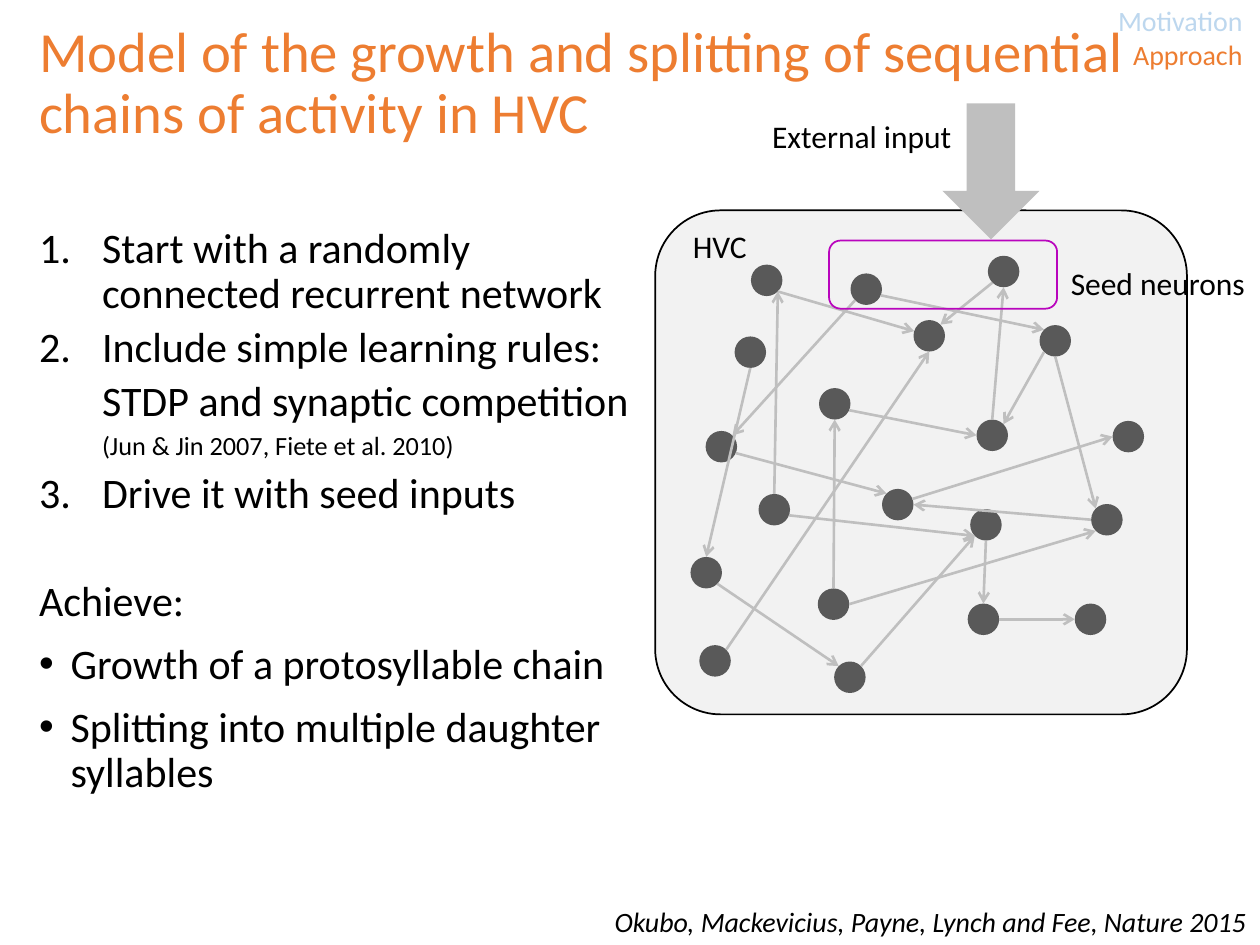
from math import cos, radians, sin

from lxml.etree import SubElement
from pptx import Presentation
from pptx.dml.color import RGBColor
from pptx.enum.shapes import MSO_CONNECTOR, MSO_SHAPE
from pptx.enum.text import MSO_ANCHOR, MSO_AUTO_SIZE, PP_ALIGN
from pptx.oxml.ns import qn
from pptx.util import Inches, Pt

THEME = {
    "font": "Calibri",
    "ink": "000000", "accent": "ED7D31", "faded": "BDD7EE",
    "panel": "F2F2F2", "neuron": "595959", "synapse": "BFBFBF", "seed": "B905BD",
    "title": 32.4, "body": 24, "gap": 20, "label": 18, "small": 16, "citation": 15,
}

TITLE = "Model of the growth and splitting of sequential chains of activity in HVC"

NUMBERED = {"margin": 0.5, "indent": -0.5, "before": 5}
BULLETED = {"margin": 0.25, "indent": -0.25, "before": 10, "bullet": "•"}
BODY = [
    (NUMBERED | {"number": 1, "before": 0},
     [("Start with a randomly connected recurrent network", "body")]),
    (NUMBERED | {"number": 1}, [("Include simple learning rules:", "body")]),
    (NUMBERED | {"indent": 0},
     [("STDP and synaptic competition ", "body"),
      ("(Jun & Jin 2007, Fiete et al. 2010)", "citation"), (" ", "gap")]),
    (NUMBERED | {"number": 3}, [("Drive it with seed inputs", "body")]),
    ({"margin": 0, "indent": 0, "before": 36}, [("Achieve:", "body")]),
    (BULLETED, [("Growth of a protosyllable chain", "body")]),
    (BULLETED, [("Splitting into multiple daughter syllables", "body")]),
]

NEURON_SIZE = 0.25
# Left and top of each neuron, in inches
NEURONS = {
    "A": (5.83, 2.67), "B": (7.25, 2.54), "C": (6.02, 3.92), "D": (6.5, 3.08),
    "E": (6.75, 2.17), "F": (5.6, 3.42), "G": (7.75, 3.33), "H": (7, 3.88),
    "I": (8.25, 2.58), "J": (5.96, 2.1), "K": (7.7, 4.04), "L": (7.84, 2.03),
    "M": (6.49, 4.67), "N": (8.83, 3.34), "O": (6.62, 5.25), "P": (8.66, 4),
    "Q": (7.68, 4.79), "R": (5.55, 5.12), "S": (5.48, 4.42), "T": (8.53, 4.79),
}
# Sending neuron and angle on its rim, receiving neuron and angle on its rim
# (degrees clockwise from the right)
SYNAPSES = [
    ("J", 45, "B", 197), ("F", 24, "H", 225), ("C", 270, "J", 45),
    ("O", 315, "K", 135), ("C", 21, "K", 135), ("R", 315, "B", 90),
    ("E", 135, "F", 315), ("I", 90, "P", 225), ("H", 339, "N", 180),
    ("P", 180, "H", 0), ("M", 0, "P", 135), ("E", 23, "I", 225),
    ("D", 24, "G", 180), ("S", 45, "O", 225), ("Q", 0, "T", 180),
    ("L", 135, "B", 315), ("I", 135, "G", 315), ("A", 90, "S", 270),
    ("M", 270, "D", 90), ("G", 270, "L", 90), ("K", 90, "Q", 270),
]


def color(name):
    return RGBColor.from_string(THEME[name])


def add_run(paragraph, text, size, ink="ink", italic=None):
    run = paragraph.add_run()
    run.text = text
    values = {"name": THEME["font"], "size": Pt(THEME[size]), "italic": italic}
    for attribute, value in values.items():
        setattr(run.font, attribute, value)
    run.font.color.rgb = color(ink)


def place(shape, *box):
    for attribute, value in zip(("left", "top", "width", "height"), box):
        setattr(shape, attribute, Inches(value))


def add_label(shapes, box, lines, size="label", align=PP_ALIGN.LEFT, wrap=False, italic=None):
    frame = shapes.add_textbox(*map(Inches, box)).text_frame
    frame.word_wrap = wrap
    frame.auto_size = MSO_AUTO_SIZE.SHAPE_TO_FIT_TEXT
    for index, (text, ink) in enumerate(lines):
        paragraph = frame.add_paragraph() if index else frame.paragraphs[0]
        paragraph.alignment = align
        add_run(paragraph, text, size, ink, italic)


def add_figure(shapes, kind, box, fill=None, line=None):
    shape = shapes.add_shape(kind, *map(Inches, box))
    shape.shadow.inherit = False
    if fill:
        shape.fill.solid()
        shape.fill.fore_color.rgb = color(fill)
    else:
        shape.fill.background()
    if line:
        shape.line.color.rgb = color(line)
        shape.line.width = Pt(1)
    else:
        shape.line.fill.background()
    return shape


def rim_point(neuron, angle):
    radius = NEURON_SIZE / 2
    left, top = NEURONS[neuron]
    return (Inches(left + radius * (1 + cos(radians(angle)))),
            Inches(top + radius * (1 + sin(radians(angle)))))


def add_synapse(shapes, sender, start, receiver, end):
    connector = shapes.add_connector(
        MSO_CONNECTOR.STRAIGHT, *rim_point(sender, start), *rim_point(receiver, end))
    connector.line.color.rgb = color("synapse")
    connector.line.width = Pt(1.5)
    SubElement(connector.line._get_or_add_ln(), qn("a:tailEnd"), type="arrow")
    SubElement(connector._element.spPr, qn("a:effectLst"))


def format_list_item(paragraph, style):
    properties = paragraph._p.get_or_add_pPr()
    properties.set("marL", str(Inches(style["margin"])))
    properties.set("indent", str(Inches(style["indent"])))
    if "number" in style:
        SubElement(properties, qn("a:buFont"), typeface="+mj-lt")
        SubElement(properties, qn("a:buAutoNum"), type="arabicPeriod",
                   startAt=str(style["number"]))
    elif "bullet" in style:
        SubElement(properties, qn("a:buFont"), typeface="Arial")
        SubElement(properties, qn("a:buChar"), char=style["bullet"])
    else:
        SubElement(properties, qn("a:buNone"))
    paragraph.line_spacing = 0.9
    paragraph.space_before = Pt(style["before"])


def fill_placeholders(slide):
    title, body = slide.placeholders
    place(title, 0.21, 0.21, 9.61, 0.92)
    place(body, 0.21, 1.75, 4.98, 4.95)
    for shape in (title, body):
        shape.text_frame.auto_size = MSO_AUTO_SIZE.NONE
    title.text_frame.vertical_anchor = MSO_ANCHOR.MIDDLE
    heading = title.text_frame.paragraphs[0]
    heading.alignment = PP_ALIGN.LEFT
    heading.line_spacing = 0.9
    add_run(heading, TITLE, "title", "accent")
    for index, (style, runs) in enumerate(BODY):
        frame = body.text_frame
        paragraph = frame.add_paragraph() if index else frame.paragraphs[0]
        format_list_item(paragraph, style)
        for text, size in runs:
            add_run(paragraph, text, size)


def draw_network(slide):
    network = slide.shapes.add_group_shape().shapes
    panel = add_figure(network, MSO_SHAPE.ROUNDED_RECTANGLE, (5.2, 1.67, 4.22, 4), "panel", "ink")
    panel.adjustments[0] = 0.13
    for corner in NEURONS.values():
        add_figure(network, MSO_SHAPE.OVAL, (*corner, NEURON_SIZE, NEURON_SIZE), "neuron")
    for synapse in SYNAPSES:
        add_synapse(network, *synapse)
    add_label(network, (5.4, 1.75, 0.64, 0.4), [("HVC", "ink")])

    external = slide.shapes.add_group_shape().shapes
    add_label(external, (6.03, 0.88, 1.64, 0.4), [("External input", "ink")])
    add_figure(external, MSO_SHAPE.DOWN_ARROW, (7.48, 0.82, 0.77, 1.08), "synapse")

    seeds = slide.shapes.add_group_shape().shapes
    add_figure(seeds, MSO_SHAPE.ROUNDED_RECTANGLE, (6.58, 1.91, 1.81, 0.54), line="seed")
    add_label(seeds, (8.4, 2.05, 1.6, 0.4), [("Seed neurons", "ink")])


def main():
    presentation = Presentation()
    presentation.slide_width, presentation.slide_height = Inches(10), Inches(7.5)
    slide = presentation.slides.add_slide(presentation.slide_layouts[1])
    fill_placeholders(slide)
    add_label(slide.shapes, (8.65, -0.02, 1.31, 0.64),
              [("Motivation", "faded"), ("Approach", "accent")],
              "small", PP_ALIGN.RIGHT, wrap=True)
    draw_network(slide)
    add_label(slide.shapes, (4.71, 7.13, 5.28, 0.37),
              [("Okubo, Mackevicius, Payne, Lynch and Fee, Nature 2015", "ink")],
              "small", PP_ALIGN.RIGHT, italic=True)
    presentation.save("out.pptx")


if __name__ == "__main__":
    main()
